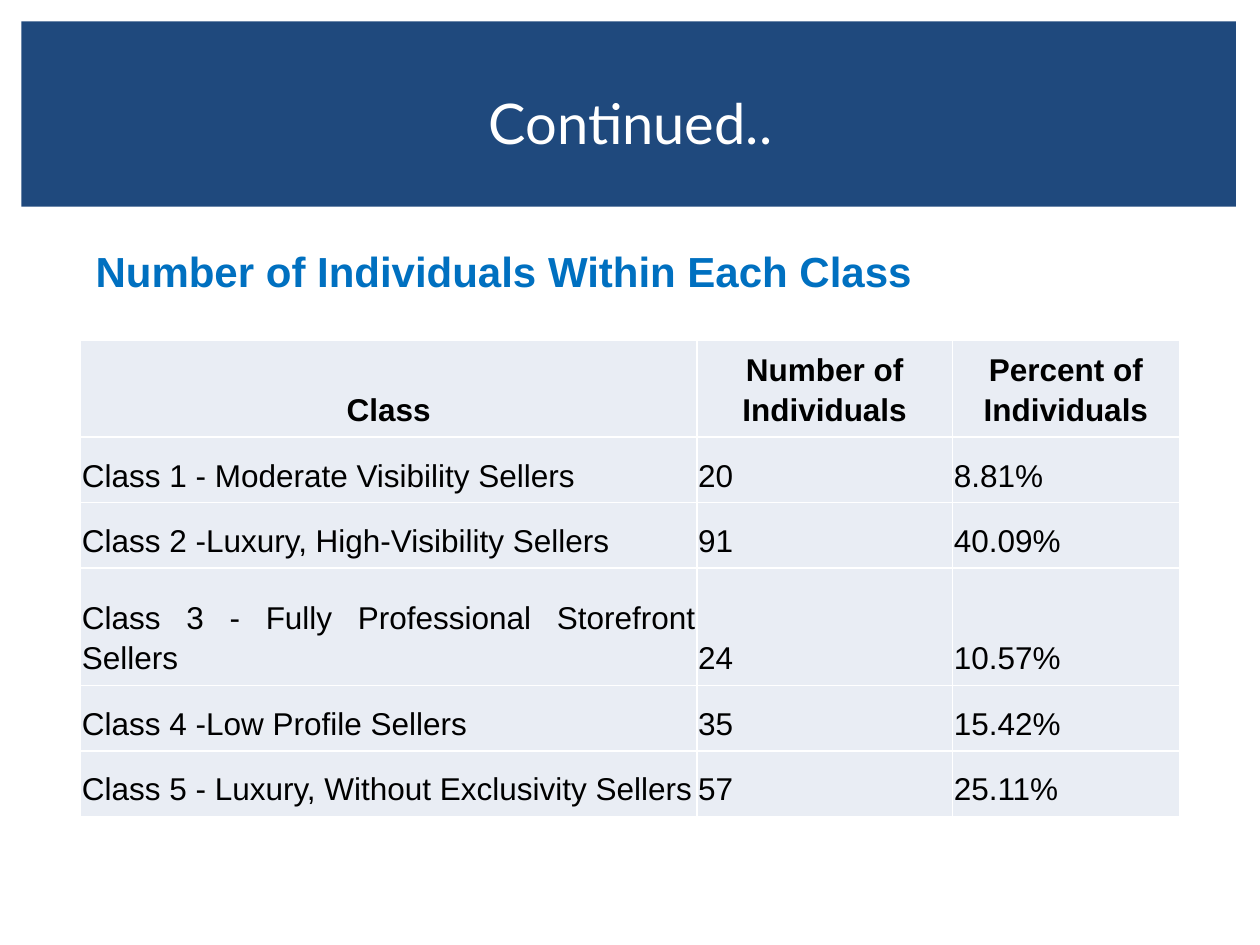
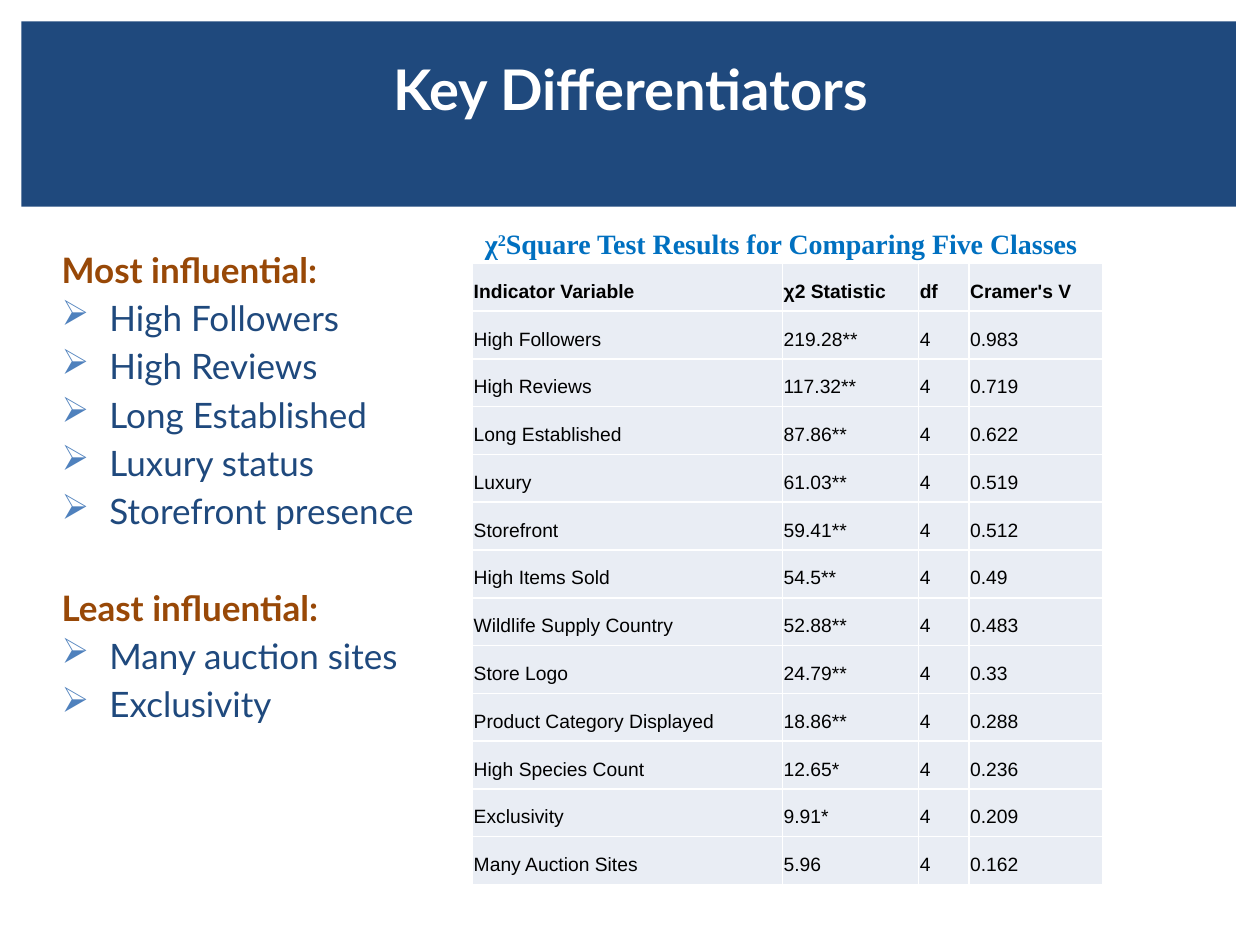
from lxml.etree import SubElement
from pptx import Presentation
from pptx.dml.color import RGBColor
from pptx.enum.shapes import MSO_SHAPE
from pptx.enum.text import MSO_ANCHOR as Anchor, PP_ALIGN as Align
from pptx.oxml.ns import qn
from pptx.util import Inches, Pt

NAVY = RGBColor(0x1F, 0x49, 0x7D)
BLUE = RGBColor(0x00, 0x70, 0xC0)
BULLET_BLUE = RGBColor(0x4F, 0x81, 0xBD)
BROWN = RGBColor(0x98, 0x48, 0x07)
CELL_GREY = RGBColor(0xE9, 0xED, 0xF4)
WHITE = RGBColor(0xFF, 0xFF, 0xFF)
BLACK = RGBColor(0x00, 0x00, 0x00)

HEADING_FONT, TABLE_FONT, CAPTION_FONT = "Lato", "Arial", "Times New Roman"

CLASS_ROWS = [
    ("Class", "Number of Individuals", "Percent of Individuals"),
    ("Class 1 - Moderate Visibility Sellers", "20", "8.81%"),
    ("Class 2 -Luxury, High-Visibility Sellers", "91", "40.09%"),
    ("Class 3 - Fully Professional Storefront Sellers", "24", "10.57%"),
    ("Class 4 -Low Profile Sellers", "35", "15.42%"),
    ("Class 5 - Luxury, Without Exclusivity Sellers", "57", "25.11%"),
]

INDICATOR_ROWS = [
    ("Indicator Variable", "χ2 Statistic", "df", "Cramer's V"),
    ("High Followers", "219.28**", "4", "0.983"),
    ("High Reviews", "117.32**", "4", "0.719"),
    ("Long Established", "87.86**", "4", "0.622"),
    ("Luxury", "61.03**", "4", "0.519"),
    ("Storefront", "59.41**", "4", "0.512"),
    ("High Items Sold", "54.5**", "4", "0.49"),
    ("Wildlife Supply Country", "52.88**", "4", "0.483"),
    ("Store Logo", "24.79**", "4", "0.33"),
    ("Product Category Displayed", "18.86**", "4", "0.288"),
    ("High Species Count", "12.65*", "4", "0.236"),
    ("Exclusivity", "9.91*", "4", "0.209"),
    ("Many Auction Sites", "5.96", "4", "0.162"),
]

INFLUENCES = {
    "Most influential:": ["High Followers", "High Reviews", "Long Established",
                          "Luxury status", "Storefront presence"],
    "Least influential:": ["Many auction sites", "Exclusivity"],
}


def set_font(target, name, size, color, bold=False):
    font = target.font
    font.name, font.size, font.bold = name, Pt(size), bold
    font.color.rgb = color


def add_text_frame(page, left, top, width, height, anchor=Anchor.TOP):
    box = page.shapes.add_textbox(Inches(left), Inches(top), Inches(width), Inches(height))
    frame = box.text_frame
    frame.word_wrap = True
    frame.vertical_anchor = anchor
    return frame


def add_title_band(page, title, title_height, bold=False):
    band = page.shapes.add_shape(MSO_SHAPE.RECTANGLE, Inches(0.17), Inches(0.17),
                                 Inches(9.64), Inches(1.47))
    band.shadow.inherit = False
    band.fill.solid()
    band.fill.fore_color.rgb = NAVY
    band.line.fill.background()

    para = add_text_frame(page, 0.42, 0.39, 9.17, title_height, Anchor.MIDDLE).paragraphs[0]
    para.text = title
    para.alignment = Align.CENTER
    set_font(para, HEADING_FONT, 32, WHITE, bold)


def add_cell_borders(cell):
    properties = cell._tc.get_or_add_tcPr()
    for side in ("lnL", "lnR", "lnT", "lnB"):
        line = SubElement(properties, qn(f"a:{side}"), w=str(Pt(1)))
        fill = SubElement(line, qn("a:solidFill"))
        SubElement(fill, qn("a:srgbClr"), val=str(WHITE))


def fill_cell(cell, text, size, alignment, bold):
    add_cell_borders(cell)
    cell.fill.solid()
    cell.fill.fore_color.rgb = CELL_GREY
    cell.margin_left = cell.margin_right = cell.margin_top = Inches(0.01)
    cell.margin_bottom = Inches(0.07)
    cell.vertical_anchor = Anchor.BOTTOM
    para = cell.text_frame.paragraphs[0]
    para.text = text
    para.alignment = alignment
    para.line_spacing = 1.15
    para.space_after = Pt(8)
    set_font(para, TABLE_FONT, size, BLACK, bold)


def add_data_table(page, left, top, widths, heights, rows, size, header_align, body_aligns):
    frame = page.shapes.add_table(len(rows), len(widths), Inches(left), Inches(top),
                                  Inches(sum(widths)), Inches(sum(heights)))
    table = frame.table
    table.first_row = table.horz_banding = False
    for column, width in zip(table.columns, widths):
        column.width = Inches(width)
    for index, (row, height, texts) in enumerate(zip(table.rows, heights, rows)):
        row.height = Inches(height)
        is_header = index == 0
        for cell, text, body_align in zip(row.cells, texts, body_aligns):
            fill_cell(cell, text, size, header_align if is_header else body_align, is_header)


def set_indent(para, left, first_line, bullet=None):
    properties = para._p.get_or_add_pPr()
    properties.set("marL", str(Inches(left)))
    properties.set("indent", str(Inches(first_line)))
    if bullet:
        color = SubElement(properties, qn("a:buClr"))
        SubElement(color, qn("a:srgbClr"), val=str(BULLET_BLUE))
        SubElement(properties, qn("a:buChar"), char=bullet)


def add_influence_list(page, left, top, width, height):
    frame = add_text_frame(page, left, top, width, height)
    para = frame.paragraphs[0]
    for group, (heading, items) in enumerate(INFLUENCES.items()):
        if group:
            para = frame.add_paragraph()
            para.space_before = Pt(31.2)
        para.text = heading
        set_indent(para, 0.12, 0)
        set_font(para, HEADING_FONT, 20, BROWN, bold=True)
        for item in items:
            para = frame.add_paragraph()
            para.text = item
            para.space_before = Pt(3.6)
            set_indent(para, 0.5, -0.38, "➢")
            set_font(para, HEADING_FONT, 20, NAVY)


def add_chi_square_caption(page, left, top, width, height):
    para = add_text_frame(page, left, top, width, height).paragraphs[0]
    para.alignment = Align.JUSTIFY
    para.line_spacing = 1.15
    for text in ("χ", "2", "Square Test Results for Comparing Five Classes"):
        span = para.add_run()
        span.text = text
        if text == "2":
            span.font._element.set("baseline", "30000")
    set_font(para, CAPTION_FONT, 16, BLUE, bold=True)


def build_class_sizes(page):
    add_title_band(page, "Continued..", 1.15)
    add_data_table(page, 0.64, 2.7, [4.89, 2.03, 1.8], [0.73, 0.52, 0.52, 0.93, 0.52, 0.52],
                   CLASS_ROWS, 18, Align.CENTER, [Align.JUSTIFY, Align.LEFT, Align.LEFT])
    para = add_text_frame(page, 0.66, 1.89, 8.48, 0.52, Anchor.MIDDLE).paragraphs[0]
    para.text = "Number of Individuals Within Each Class"
    set_font(para, TABLE_FONT, 24, BLUE, bold=True)


def build_differentiators(page):
    add_title_band(page, "Key Differentiators", 0.62, bold=True)
    add_influence_list(page, 0.27, 1.92, 3.49, 4.93)
    row_count = len(INDICATOR_ROWS)
    add_data_table(page, 3.75, 2.09, [2.46, 1.08, 0.4, 1.06], [4.93 / row_count] * row_count,
                   INDICATOR_ROWS, 11, Align.JUSTIFY, [Align.JUSTIFY] * 4)
    add_chi_square_caption(page, 3.75, 1.71, 6.25, 0.39)


def main():
    deck = Presentation()
    deck.slide_width, deck.slide_height = Inches(10), Inches(7.5)
    blank = deck.slide_layouts[6]
    for build in (build_class_sizes, build_differentiators):
        build(deck.slides.add_slide(blank))
    deck.save("out.pptx")


if __name__ == "__main__":
    main()
